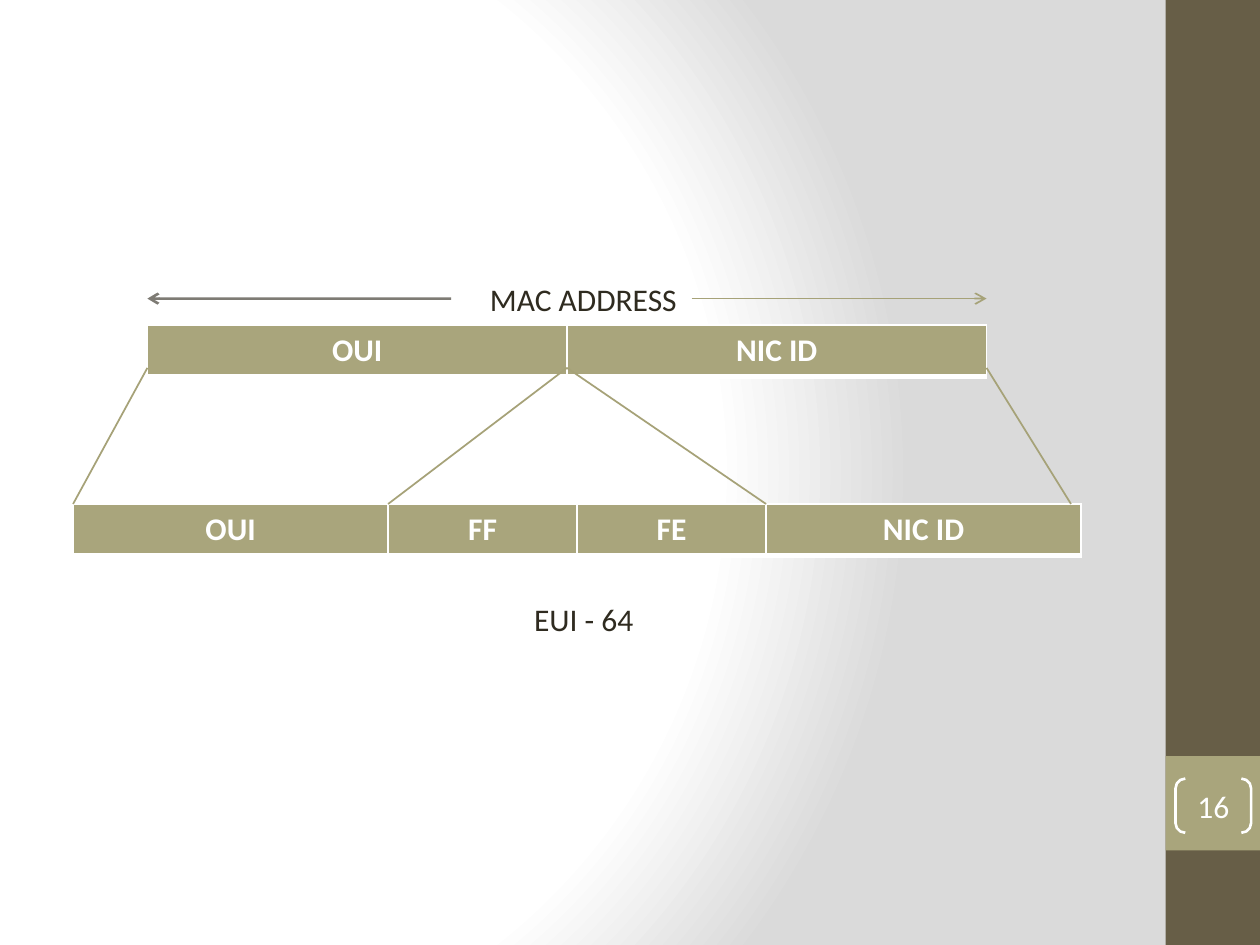
"""Build a slide showing how a MAC address expands into an EUI-64 identifier."""
from dataclasses import dataclass
from typing import Optional

from lxml import etree
from pptx import Presentation
from pptx.dml.color import RGBColor
from pptx.enum.shapes import MSO_CONNECTOR, MSO_SHAPE
from pptx.enum.text import MSO_ANCHOR, MSO_AUTO_SIZE, PP_ALIGN
from pptx.oxml import parse_xml
from pptx.oxml.ns import nsdecls, qn
from pptx.util import Inches, Pt

STRAIGHT = MSO_CONNECTOR.STRAIGHT
RECTANGLE = MSO_SHAPE.RECTANGLE
BRACKETS = MSO_SHAPE.DOUBLE_BRACKET
CENTER = PP_ALIGN.CENTER
MIDDLE = MSO_ANCHOR.MIDDLE
FIT_TEXT = MSO_AUTO_SIZE.SHAPE_TO_FIT_TEXT


@dataclass(frozen=True)
class Theme:
    font: str = "Calibri"
    size: int = 18
    white: str = "FFFFFF"
    shade: str = "DADADA"
    ink: str = "2F2B20"
    band: str = "675E47"
    olive: str = "A9A57C"
    rule: str = "A6A278"


@dataclass(frozen=True)
class AddressRow:
    left: float
    top: float
    fields: tuple[tuple[str, float], ...]


@dataclass(frozen=True)
class Line:
    start: tuple[float, float]
    end: tuple[float, float]
    color: str
    width: float = 1
    opacity: Optional[int] = None
    arrow: bool = False


@dataclass(frozen=True)
class Label:
    text: str
    left: float
    top: float
    width: float


THEME = Theme()
ROW_HEIGHT = 0.41
FAN_TOP, FAN_BOTTOM, ARROW_Y = 2.92, 4, 2.37
MAC_LEFT, MAC_MIDDLE, MAC_RIGHT = 1.17, 4.5, 7.83

ROWS = (
    AddressRow(MAC_LEFT, 2.58, (("OUI", 3.33), ("NIC ID", 3.33))),
    AddressRow(0.58, FAN_BOTTOM, (("OUI", 2.5), ("FF", 1.5), ("FE", 1.5), ("NIC ID", 2.5))),
)
FAN = ((MAC_LEFT, 0.58), (MAC_RIGHT, 8.5), (MAC_MIDDLE, 3.08), (MAC_MIDDLE, 6.08))
FAN_LINES = tuple(Line((x, FAN_TOP), (end, FAN_BOTTOM), THEME.rule) for x, end in FAN)
SPAN_ARROWS = (
    Line((3.58, ARROW_Y), (MAC_LEFT, ARROW_Y), THEME.ink, 1.5, 62, True),
    Line((5.49, ARROW_Y), (MAC_RIGHT, ARROW_Y), THEME.rule, arrow=True),
)
LABELS = (Label("MAC ADDRESS", 3.79, 2.17, 1.7), Label("EUI - 64", 4.14, 4.71, 1))


def rgb(color: str) -> RGBColor:
    return RGBColor.from_string(color)


def style(paragraph, color: str, bold: bool = False) -> None:
    font = paragraph.font
    font.name, font.size, font.bold = THEME.font, Pt(THEME.size), bold
    font.color.rgb = rgb(color)


def paint_background(slide) -> None:
    stops = ((0, THEME.white), (75, THEME.white), (100, THEME.shade))
    stop_xml = "".join(
        f'<a:gs pos="{percent * 1000}"><a:srgbClr val="{color}"/></a:gs>' for percent, color in stops
    )
    background = parse_xml(
        f'<p:bg {nsdecls("p", "a")}><p:bgPr><a:gradFill rotWithShape="1"><a:gsLst>{stop_xml}</a:gsLst>'
        '<a:path path="circle"><a:fillToRect l="20000" t="50000" r="100000" b="50000"/></a:path>'
        "</a:gradFill><a:effectLst/></p:bgPr></p:bg>"
    )
    slide.element.find(qn("p:cSld")).insert(0, background)


def add_panel(slide, top: float, height: float, color: str) -> None:
    panel = slide.shapes.add_shape(RECTANGLE, Inches(9.25), Inches(top), Inches(0.75), Inches(height))
    panel.shadow.inherit = False
    panel.fill.solid()
    panel.fill.fore_color.rgb = rgb(color)
    panel.line.fill.background()


def add_page_number(slide, number: str) -> None:
    badge = slide.shapes.add_shape(BRACKETS, Inches(9.33), Inches(6.18), Inches(0.6), Inches(0.43))
    badge.shadow.inherit = False
    badge.adjustments[0] = 0.18
    badge.fill.background()
    badge.line.color.rgb = rgb(THEME.white)
    badge.line.width = Pt(1.5)
    frame = badge.text_frame
    frame.margin_left = frame.margin_right = frame.margin_top = frame.margin_bottom = 0
    frame.vertical_anchor = MIDDLE
    frame.text = number
    frame.paragraphs[0].alignment = CENTER
    style(frame.paragraphs[0], THEME.white)


def add_borders(cell) -> None:
    properties = cell._tc.get_or_add_tcPr()
    for side, width in (("L", 1), ("R", 1), ("T", 1), ("B", 3)):
        border = etree.SubElement(properties, qn(f"a:ln{side}"), w=str(Pt(width)))
        fill = etree.SubElement(border, qn("a:solidFill"))
        etree.SubElement(fill, qn("a:srgbClr"), val=THEME.white)


def add_address_row(slide, row: AddressRow) -> None:
    width = sum(field_width for _, field_width in row.fields)
    table = slide.shapes.add_table(
        1, len(row.fields), Inches(row.left), Inches(row.top), Inches(width), Inches(ROW_HEIGHT)
    ).table
    for index, (name, field_width) in enumerate(row.fields):
        table.columns[index].width = Inches(field_width)
        cell = table.cell(0, index)
        add_borders(cell)
        cell.fill.solid()
        cell.fill.fore_color.rgb = rgb(THEME.olive)
        cell.text = name
        paragraph = cell.text_frame.paragraphs[0]
        paragraph.alignment = CENTER
        style(paragraph, THEME.white, bold=True)


def add_line(slide, line: Line) -> None:
    points = (Inches(value) for value in (*line.start, *line.end))
    connector = slide.shapes.add_connector(STRAIGHT, *points)
    connector.line.color.rgb = rgb(line.color)
    connector.line.width = Pt(line.width)
    properties = connector._element.spPr
    outline = properties.find(qn("a:ln"))
    if line.opacity is not None:
        color = outline.find(f".//{qn('a:srgbClr')}")
        etree.SubElement(color, qn("a:alpha"), val=str(line.opacity * 1000))
    if line.arrow:
        etree.SubElement(outline, qn("a:tailEnd"), type="arrow")
    etree.SubElement(properties, qn("a:effectLst"))


def add_label(slide, label: Label) -> None:
    box = slide.shapes.add_textbox(Inches(label.left), Inches(label.top), Inches(label.width), Inches(0.4))
    frame = box.text_frame
    frame.word_wrap = False
    frame.auto_size = FIT_TEXT
    frame.text = label.text
    style(frame.paragraphs[0], THEME.ink)


def main() -> None:
    deck = Presentation()
    deck.slide_width, deck.slide_height = Inches(10), Inches(7.5)
    slide = deck.slides.add_slide(deck.slide_layouts[6])
    paint_background(slide)
    add_panel(slide, 0, 7.5, THEME.band)
    add_panel(slide, 6, 0.75, THEME.olive)
    add_page_number(slide, "16")
    for row in ROWS:
        add_address_row(slide, row)
    for line in FAN_LINES:
        add_line(slide, line)
    for label in LABELS:
        add_label(slide, label)
    for arrow in SPAN_ARROWS:
        add_line(slide, arrow)
    deck.save("out.pptx")


main()
